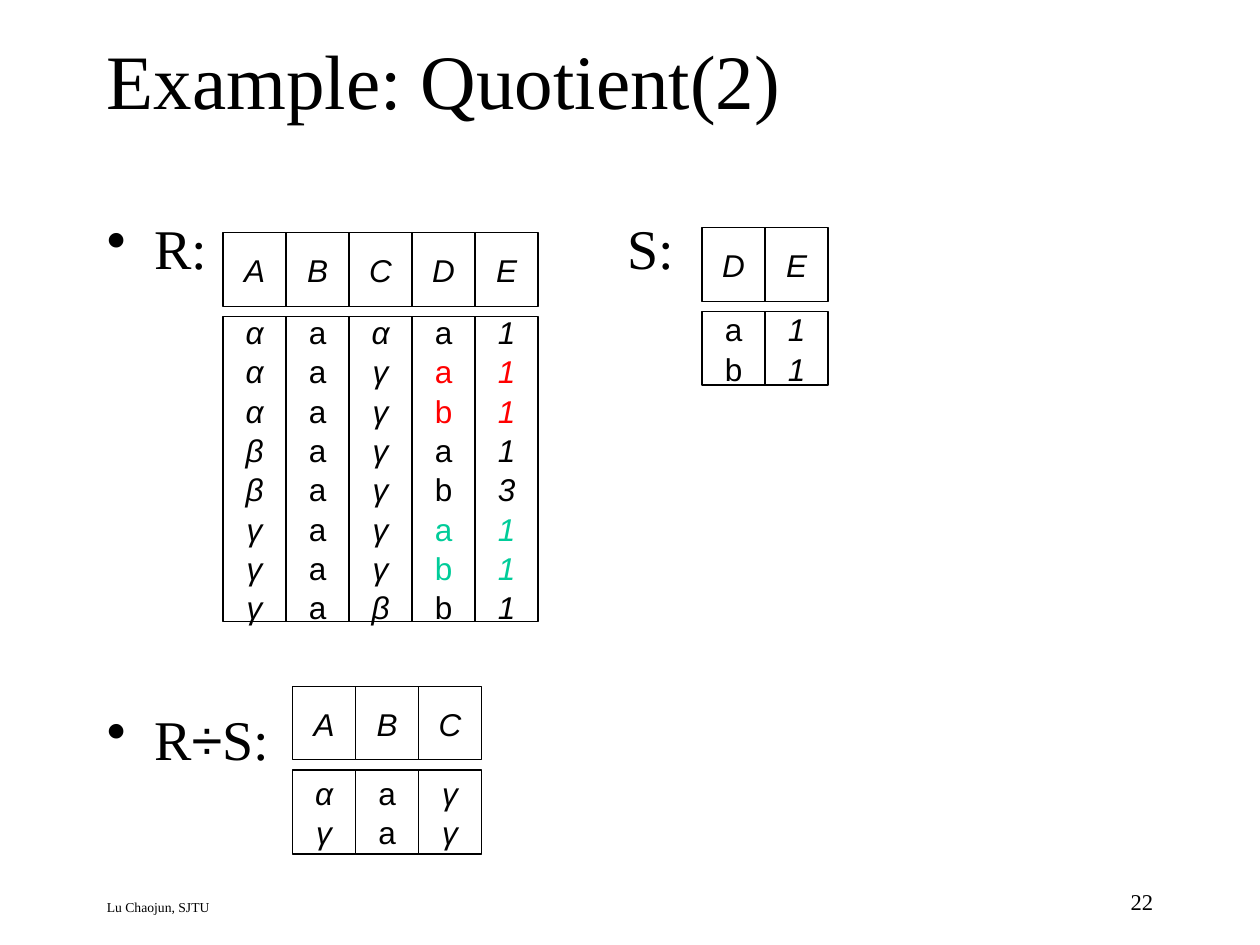
from pptx import Presentation
from pptx.dml.color import RGBColor
from pptx.enum.shapes import MSO_SHAPE
from pptx.enum.text import MSO_ANCHOR, PP_ALIGN
from pptx.oxml.ns import qn
from pptx.util import Pt

RECTANGLE = MSO_SHAPE.RECTANGLE
TOP, MIDDLE = MSO_ANCHOR.TOP, MSO_ANCHOR.MIDDLE
LEFT, CENTER, RIGHT = PP_ALIGN.LEFT, PP_ALIGN.CENTER, PP_ALIGN.RIGHT
SERIF, SANS = "Times New Roman", "Arial"
BLACK, WHITE, RED, GREEN = "000000", "FFFFFF", "FF0000", "00CC99"


def color(value):
    return RGBColor.from_string(value)


def add_text(paragraph, text, font=SERIF, size=32, fill=BLACK, italic=False):
    run = paragraph.add_run()
    run.text = text
    run.font.name = font
    run.font.size = Pt(size)
    run.font.italic = italic
    run.font.color.rgb = color(fill)


def add_bullet(paragraph, indent):
    properties = paragraph._p.get_or_add_pPr()
    properties.set("marL", str(Pt(indent)))
    properties.set("indent", str(-Pt(indent)))
    bullet = properties.makeelement(qn("a:buChar"), {"char": "•"})
    properties.append(bullet)


class RelationSlide:
    column_width = 36
    header_height = 42
    body_offset = 47.8
    cell_size = 18
    line_spacing = 1.04

    def __init__(self, slide):
        self.slide = slide

    def text_box(self, left, top, width, height, anchor=TOP):
        box = self.slide.shapes.add_textbox(Pt(left), Pt(top), Pt(width), Pt(height))
        box.text_frame.word_wrap = True
        box.text_frame.vertical_anchor = anchor
        return box.text_frame

    def label(self, text, left, top, width, height, align=LEFT, anchor=TOP, **style):
        paragraph = self.text_box(left, top, width, height, anchor).paragraphs[0]
        paragraph.alignment = align
        add_text(paragraph, text, **style)
        return paragraph

    def bullets(self, items, left, top, width, height, gap):
        frame = self.text_box(left, top, width, height)
        for index, pieces in enumerate(items):
            paragraph = frame.add_paragraph() if index else frame.paragraphs[0]
            add_bullet(paragraph, 27)
            paragraph.line_spacing = self.line_spacing
            if index:
                paragraph.space_before = Pt(gap)
            for text, font in pieces:
                add_text(paragraph, text, font=font)

    def cell(self, lines, left, top, height, highlights):
        shape = self.slide.shapes.add_shape(
            RECTANGLE, Pt(left), Pt(top), Pt(self.column_width), Pt(height))
        shape.shadow.inherit = False
        shape.fill.solid()
        shape.fill.fore_color.rgb = color(WHITE)
        shape.line.color.rgb = color(BLACK)
        shape.line.width = Pt(0.75)
        frame = shape.text_frame
        frame.word_wrap = False
        frame.vertical_anchor = MIDDLE
        for row, text in enumerate(lines):
            paragraph = frame.add_paragraph() if row else frame.paragraphs[0]
            paragraph.alignment = CENTER
            paragraph.line_spacing = self.line_spacing
            add_text(paragraph, text, font=SANS, size=self.cell_size,
                     fill=highlights.get(row, BLACK), italic=text not in "ab")

    def relation(self, columns, left, top, body_height, highlights=None):
        """Draw columns of {attribute: values}; highlights colour rows of D and E."""
        for index, (attribute, values) in enumerate(columns.items()):
            x = left + index * self.column_width
            self.cell(attribute, x, top, self.header_height, {})
            row_colors = highlights if highlights and attribute in "DE" else {}
            self.cell(values, x, top + self.body_offset, body_height, row_colors)


def main():
    presentation = Presentation()
    presentation.slide_width = Pt(720)
    presentation.slide_height = Pt(540)
    page = RelationSlide(presentation.slides.add_slide(presentation.slide_layouts[6]))

    # Footer and title
    page.label("Lu Chaojun, SJTU", 54, 509.8, 417.6, 18, size=7.8)
    page.label("22", 516, 504, 150, 24, align=RIGHT, size=12.9)
    page.label("Example: Quotient(2)", 54, 0, 612, 90, anchor=MIDDLE, size=44)

    # Relation names
    page.bullets([[("R:", SERIF)], [("R", SERIF), ("÷", SANS), ("S:", SERIF)]],
                 54, 117, 612, 366, gap=240.6)
    divisor = page.label("S:", 351.6, 117, 48, 46)
    divisor.line_spacing = page.line_spacing

    # Relation R, divisor S and quotient
    page.relation({"A": "αααββγγγ", "B": "aaaaaaaa", "C": "αγγγγγγβ",
                   "D": "aababab" "b", "E": "11113111"},
                  127.5, 133, 174.2,
                  highlights={1: RED, 2: RED, 5: GREEN, 6: GREEN})
    page.relation({"D": "ab", "E": "11"}, 401.2, 130.2, 42)
    page.relation({"A": "αγ", "B": "aa", "C": "γγ"}, 167.2, 392.2, 48)

    presentation.save("out.pptx")


if __name__ == "__main__":
    main()
